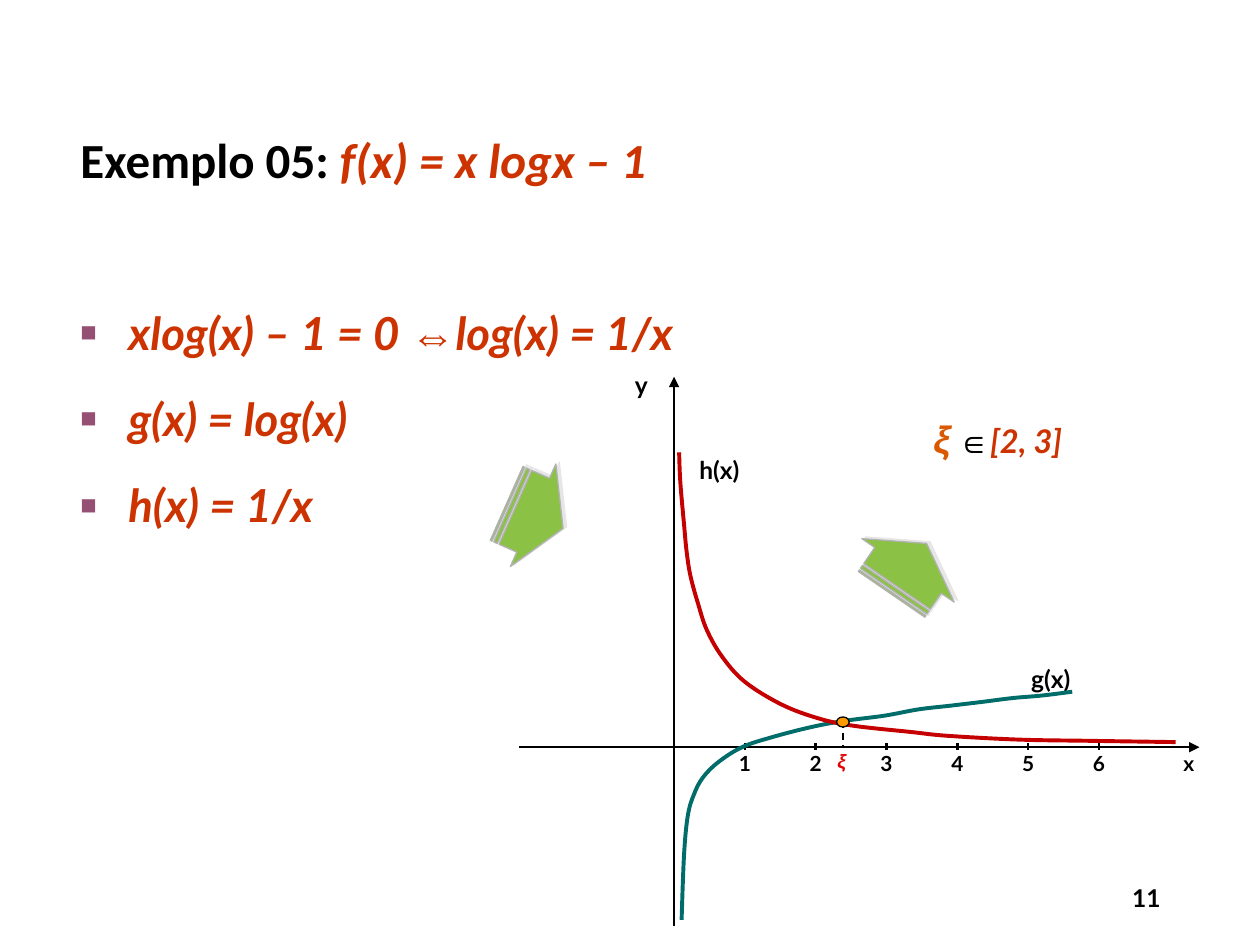
from lxml.etree import SubElement
from pptx import Presentation
from pptx.dml.color import RGBColor
from pptx.enum.dml import MSO_LINE
from pptx.enum.shapes import MSO_CONNECTOR, MSO_SHAPE
from pptx.enum.text import MSO_ANCHOR, PP_ALIGN
from pptx.oxml.ns import qn
from pptx.util import Inches, Pt

THEME = {
    "black": "000000", "formula": "CC3300", "bullet": "954F72", "xi": "DA5800",
    "root": "E40000", "g": "006D6A", "h": "C40000", "dot": "FF9900",
    "arrow": "8BC145", "arrow_line": "B2B2B2", "arrow_shadow": "E7E6E6",
    "title_size": 28, "body_size": 26, "xi_size": 21.7, "interval_size": 18.6,
    "label_size": 14, "tick_size": 11.9, "root_size": 11,
}

presentation = Presentation()
presentation.slide_width, presentation.slide_height = Inches(10), Inches(7.5)
slide = presentation.slides.add_slide(presentation.slide_layouts[6])
# Grid of 100 columns by 75 rows of square cells
cell = presentation.slide_width // 100


def add_text(shapes, box, paragraphs, align=PP_ALIGN.CENTER, inset=0, spacing=1.0, before=3.5):
    """Each run is (text, size, font, colour, italic); all text is bold."""
    text_box = shapes.add_textbox(*[int(n * cell) for n in box])
    frame = text_box.text_frame
    frame.word_wrap = True
    frame.margin_left = frame.margin_right = int(inset * cell)
    frame.margin_top = frame.margin_bottom = int(inset * cell / 2)
    for index, runs in enumerate(paragraphs):
        paragraph = frame.add_paragraph() if index else frame.paragraphs[0]
        paragraph.alignment = align
        paragraph.line_spacing = spacing
        paragraph.space_before = Pt(before)
        for text, size, font, colour, italic in runs:
            run = paragraph.add_run()
            run.text = text
            run.font.size, run.font.name = Pt(size), font
            run.font.bold, run.font.italic = True, italic
            run.font.color.rgb = RGBColor.from_string(THEME[colour])
    return frame


def add_curve(shapes, knots, colour):
    """Draw a smooth open curve through the knots."""
    points = [(int(x * cell), int(y * cell)) for x, y in knots]
    builder = shapes.build_freeform(*points[0])
    builder.add_line_segments(points[1:], close=False)
    curve = builder.convert_to_shape()
    curve.shadow.inherit = False
    curve.fill.background()
    curve.line.color.rgb = RGBColor.from_string(THEME[colour])
    curve.line.width = Pt(2.25)
    left, top = min(x for x, y in points), min(y for x, y in points)
    local = [(x - left, y - top) for x, y in points]
    padded = [local[0], *local, local[-1]]
    # Straight segments become Bézier segments with Catmull-Rom handles
    segments = list(curve._element.iter(qn("a:lnTo")))
    for segment, a, b, c, d in zip(segments, padded, padded[1:], padded[2:], padded[3:]):
        segment.tag = qn("a:cubicBezTo")
        segment.remove(segment[0])
        handles = [[b[i] + (c[i] - a[i]) // 6 for i in (0, 1)],
                   [c[i] - (d[i] - b[i]) // 6 for i in (0, 1)], c]
        for x, y in handles:
            SubElement(segment, qn("a:pt"), x=str(x), y=str(y))


# Title
add_text(slide.shapes, (5.4, 10.7, 89.2, 5.4), [[
    ("Exemplo 05: ", THEME["title_size"], "Calibri", "black", False),
    ("f(x) = x logx – 1", THEME["title_size"], "Calibri", "formula", True),
]], PP_ALIGN.LEFT, inset=1, spacing=0.8, before=10)

# Bulleted equations
equations = [
    [("xlog(x) – 1 = 0 ", "Lato"), ("⇔", "Arial"), ("log(x) = 1/x", "Lato")],
    [("g(x) = log(x)", "Lato")],
    [("h(x) = 1/x", "Lato")],
]
frame = add_text(slide.shapes, (5.4, 23.7, 61.1, 19.5), [
    [(text, THEME["body_size"], font, "formula", True) for text, font in runs]
    for runs in equations
], PP_ALIGN.LEFT, inset=1, before=6.5)
for paragraph in frame.paragraphs:
    paragraph.space_after = Pt(11.6)
    properties = paragraph._p.get_or_add_pPr()
    properties.set("marL", str(int(3.8 * cell)))
    properties.set("indent", str(int(-3.8 * cell)))
    bullet_colour = SubElement(properties, qn("a:buClr"))
    SubElement(bullet_colour, qn("a:srgbClr"), val=THEME["bullet"])
    SubElement(properties, qn("a:buSzPct"), val="60000")
    SubElement(properties, qn("a:buFont"), typeface="Arial")
    SubElement(properties, qn("a:buChar"), char="■")

# Interval holding the root
add_text(slide.shapes, (73.1, 33.2, 20.8, 4.8), [[
    ("ξ", THEME["xi_size"], "Arial", "xi", True),
    (" ", THEME["interval_size"], "Lato", "xi", True),
    ("∈", THEME["interval_size"], "Arial", "black", False),
    ("[2, 3]", THEME["interval_size"], "Lato", "formula", True),
]], PP_ALIGN.LEFT, inset=1, spacing=0.8, before=6)

# Slide number
frame = add_text(slide.shapes, (70.6, 69.5, 22.5, 4), [[
    ("11", THEME["label_size"], "Lato", "black", False),
]], PP_ALIGN.RIGHT, inset=1, spacing=0.8, before=0)
frame.vertical_anchor = MSO_ANCHOR.MIDDLE

# Plot: axes, unit ticks and the dashed drop from the root
plot = slide.shapes.add_group_shape().shapes
origin_x, axis_y, unit, root_x = 53.5, 59.3, 5.62, 66.9
ticks = [(n, origin_x + n * unit) for n in range(1, 7)]
lines = [
    (origin_x, 29.9, origin_x, 73.5, 1.5, "arrow"),
    (95.2, axis_y, 41.2, axis_y, 1.5, "arrow"),
    (root_x, 57.2, root_x, 59.4, 1, "dash"),
] + [(x, 59, x, 59.5, 1.5, "plain") for n, x in ticks]
for x1, y1, x2, y2, width, style in lines:
    line = plot.add_connector(MSO_CONNECTOR.STRAIGHT, *[int(n * cell) for n in (x1, y1, x2, y2)])
    line.line.color.rgb = RGBColor.from_string(THEME["black"])
    line.line.width = Pt(width)
    if style == "dash":
        line.line.dash_style = MSO_LINE.DASH
    if style == "arrow":
        SubElement(line.line._get_or_add_ln(), qn("a:headEnd"), type="triangle")
    SubElement(line._element.spPr, qn("a:effectLst"))

# Plot labels
for n, x in ticks:
    add_text(plot, (x - 1.5, 59.8, 3, 2),
             [[(str(n), THEME["tick_size"], "Lato", "black", False)]], spacing=0.9)
labels = [
    ("x", (93.1, 59.8, 2.5, 2), "tick_size", "Lato", "black", 0.9),
    ("ξ", (65.6, 59.8, 2.4, 2), "root_size", "Arial", "root", 0.8),
    ("y", (49.5, 29.4, 2.8, 2.4), "label_size", "Lato", "black", 1.0),
    ("h(x)", (54.7, 36.1, 4.8, 2.4), "label_size", "Lato", "black", 1.0),
    ("g(x)", (81, 52.7, 4.8, 2.4), "label_size", "Lato", "black", 1.0),
]
for text, box, size, font, colour, spacing in labels:
    add_text(plot, box, [[(text, THEME[size], font, colour, colour == "root")]], spacing=spacing)

# Curves g(x) = log(x) and h(x) = 1/x
add_curve(plot, [
    (54.1, 73), (54.3, 67.8), (54.6, 64.7), (55.1, 63), (55.8, 61.7), (57, 60.5),
    (58.9, 59.3), (61.3, 58.5), (64.4, 57.7), (67.1, 57.2), (70.2, 56.8),
    (72.9, 56.3), (75.5, 56), (78, 55.7), (80.4, 55.4), (82.7, 55.2), (85.1, 54.9),
], "g")
add_curve(plot, [
    (93.3, 58.9), (86.5, 58.8), (80.8, 58.7), (75.2, 58.4), (72.3, 58.1),
    (67.7, 57.6), (64.9, 57), (62, 55.9), (59.1, 54.1), (57.3, 52.1), (56.1, 50),
    (55.4, 47.9), (54.8, 45.7), (54.5, 43.8), (54.3, 41.7), (54, 38.3), (53.9, 35.9),
], "h")

# Root marker
dot = plot.add_shape(MSO_SHAPE.OVAL, *[int(n * cell) for n in (66.4, 56.9, 1, 0.8)])
dot.shadow.inherit = False
dot.fill.solid()
dot.fill.fore_color.rgb = RGBColor.from_string(THEME["dot"])
dot.line.color.rgb = RGBColor.from_string(THEME["black"])
dot.line.width = Pt(0.75)

# Striped arrows linking equations, plot and interval
for left, top, rotation in [(40, 36.5, 23.9), (69.7, 40.7, 304.5)]:
    arrow = slide.shapes.add_shape(
        MSO_SHAPE.STRIPED_RIGHT_ARROW, *[int(n * cell) for n in (left, top, 4.9, 8.9)])
    arrow.rotation = rotation
    arrow.adjustments[0], arrow.adjustments[1] = 0.72, 0.53
    arrow.fill.solid()
    arrow.fill.fore_color.rgb = RGBColor.from_string(THEME["arrow"])
    arrow.line.color.rgb = RGBColor.from_string(THEME["arrow_line"])
    arrow.line.width = Pt(0.75)
    effects = SubElement(arrow._element.spPr, qn("a:effectLst"))
    shadow = SubElement(effects, qn("a:outerShdw"), dist=str(Pt(2.2)),
                        dir=str(334 * 60000), rotWithShape="0")
    SubElement(shadow, qn("a:srgbClr"), val=THEME["arrow_shadow"])

presentation.save("out.pptx")
